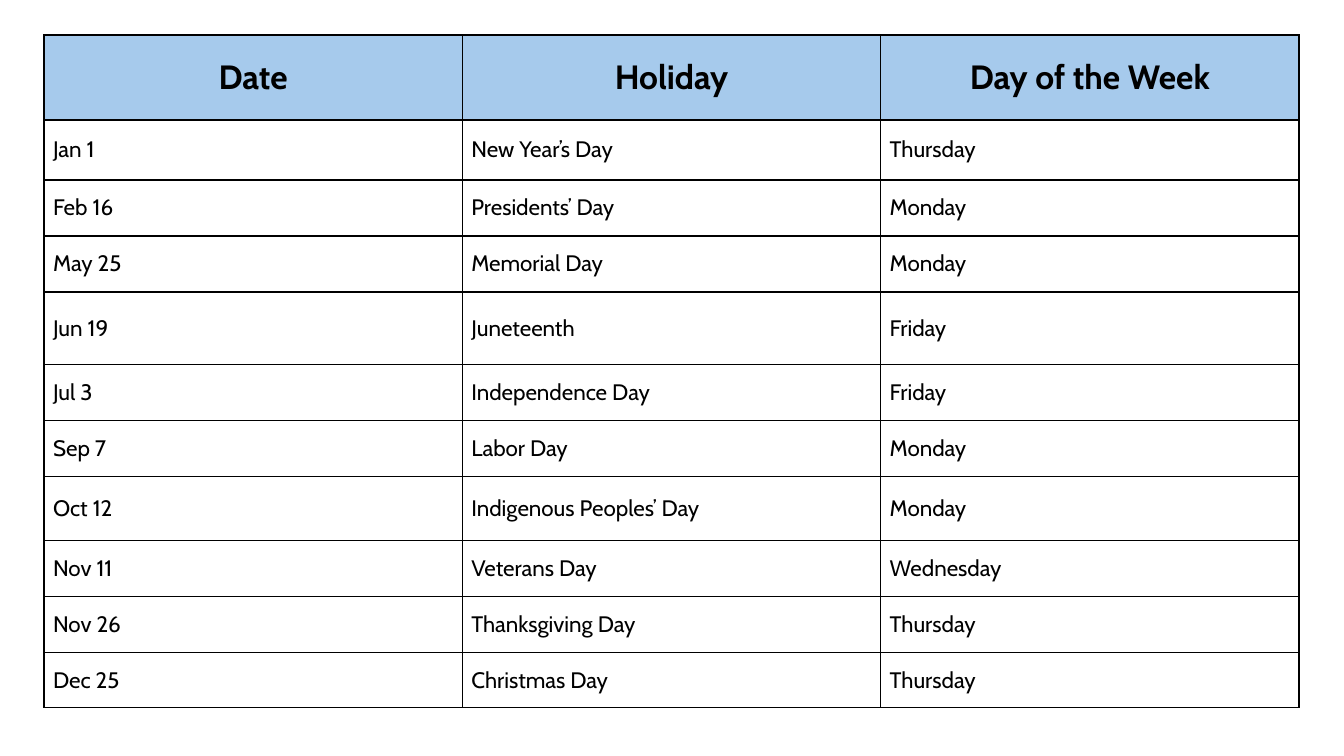
from lxml import etree
from pptx import Presentation
from pptx import util as u
from pptx.dml.color import RGBColor
from pptx.enum import text
from pptx.oxml import ns

PX = 914400 / 100.8
SLIDE_SIZE = (1344, 756)
BLACK = RGBColor(0x00, 0x00, 0x00)
HEADER_BLUE = RGBColor(0xA6, 0xCA, 0xEC)

HEADINGS = ("Date", "Holiday", "Day of the Week")
HOLIDAYS = [
    ("Jan 1", "New Year’s Day", "Thursday"),
    ("Feb 16", "Presidents’ Day", "Monday"),
    ("May 25", "Memorial Day", "Monday"),
    ("Jun 19", "Juneteenth", "Friday"),
    ("Jul 3", "Independence Day", "Friday"),
    ("Sep 7", "Labor Day", "Monday"),
    ("Oct 12", "Indigenous Peoples’ Day", "Monday"),
    ("Nov 11", "Veterans Day", "Wednesday"),
    ("Nov 26", "Thanksgiving Day", "Thursday"),
    ("Dec 25", "Christmas Day", "Thursday"),
]
ROW_HEIGHTS = (85, 60, 56, 56, 73, 56, 56, 64, 56, 56, 55)

HEADING_FONT = {"name": "Cabin", "size": u.Pt(24), "bold": True}
ENTRY_FONT = {"name": "Cabin", "size": u.Pt(16), "bold": False}
CELL_FORMAT = {
    "vertical_anchor": text.MSO_ANCHOR.MIDDLE,
    "margin_left": u.Inches(0.09),
    "margin_right": u.Inches(0.09),
    "margin_top": u.Inches(0.04),
    "margin_bottom": u.Inches(0.04),
}


def px(length):
    """Turn a length in px into EMU."""
    return u.Emu(round(length * PX))


def apply_format(target, values):
    """Set each attribute of the target from a dict of values."""
    for attribute, value in values.items():
        setattr(target, attribute, value)


def draw_borders(cell):
    """Outline all four sides of a cell in black."""
    properties = cell._tc.get_or_add_tcPr()
    for side in ("lnL", "lnR", "lnT", "lnB"):
        border = etree.SubElement(properties, ns.qn(f"a:{side}"), w=str(u.Pt(1)))
        ink = etree.SubElement(border, ns.qn("a:solidFill"))
        etree.SubElement(ink, ns.qn("a:srgbClr"), val=str(BLACK))


def fill_cell(cell, wording, is_heading):
    """Write and format one cell of the calendar."""
    apply_format(cell, CELL_FORMAT)
    draw_borders(cell)
    if is_heading:
        cell.fill.solid()
        cell.fill.fore_color.rgb = HEADER_BLUE
    else:
        cell.fill.background()
    line = cell.text_frame.paragraphs[0]
    line.alignment = text.PP_ALIGN.CENTER if is_heading else text.PP_ALIGN.LEFT
    entry = line.add_run()
    entry.text = wording
    apply_format(entry.font, HEADING_FONT if is_heading else ENTRY_FONT)
    entry.font.color.rgb = BLACK


def add_holiday_calendar(slide, left, top, width):
    """Place the holiday table with equal columns in the given width."""
    entries = [HEADINGS, *HOLIDAYS]
    box = [px(length) for length in (left, top, width, sum(ROW_HEIGHTS))]
    calendar = slide.shapes.add_table(len(entries), len(HEADINGS), *box).table
    apply_format(calendar, {"first_row": False, "horz_banding": False})
    for column in calendar.columns:
        column.width = px(width / len(HEADINGS))
    for row, height, wordings in zip(calendar.rows, ROW_HEIGHTS, entries):
        row.height = px(height)
        for cell, wording in zip(row.cells, wordings):
            fill_cell(cell, wording, wordings is HEADINGS)


def main():
    """Build the one-slide holiday calendar."""
    deck = Presentation()
    deck.slide_width, deck.slide_height = map(px, SLIDE_SIZE)
    slide = deck.slides.add_slide(deck.slide_layouts[6])
    add_holiday_calendar(slide, left=44, top=35, width=1255)
    deck.save("out.pptx")


if __name__ == "__main__":
    main()
